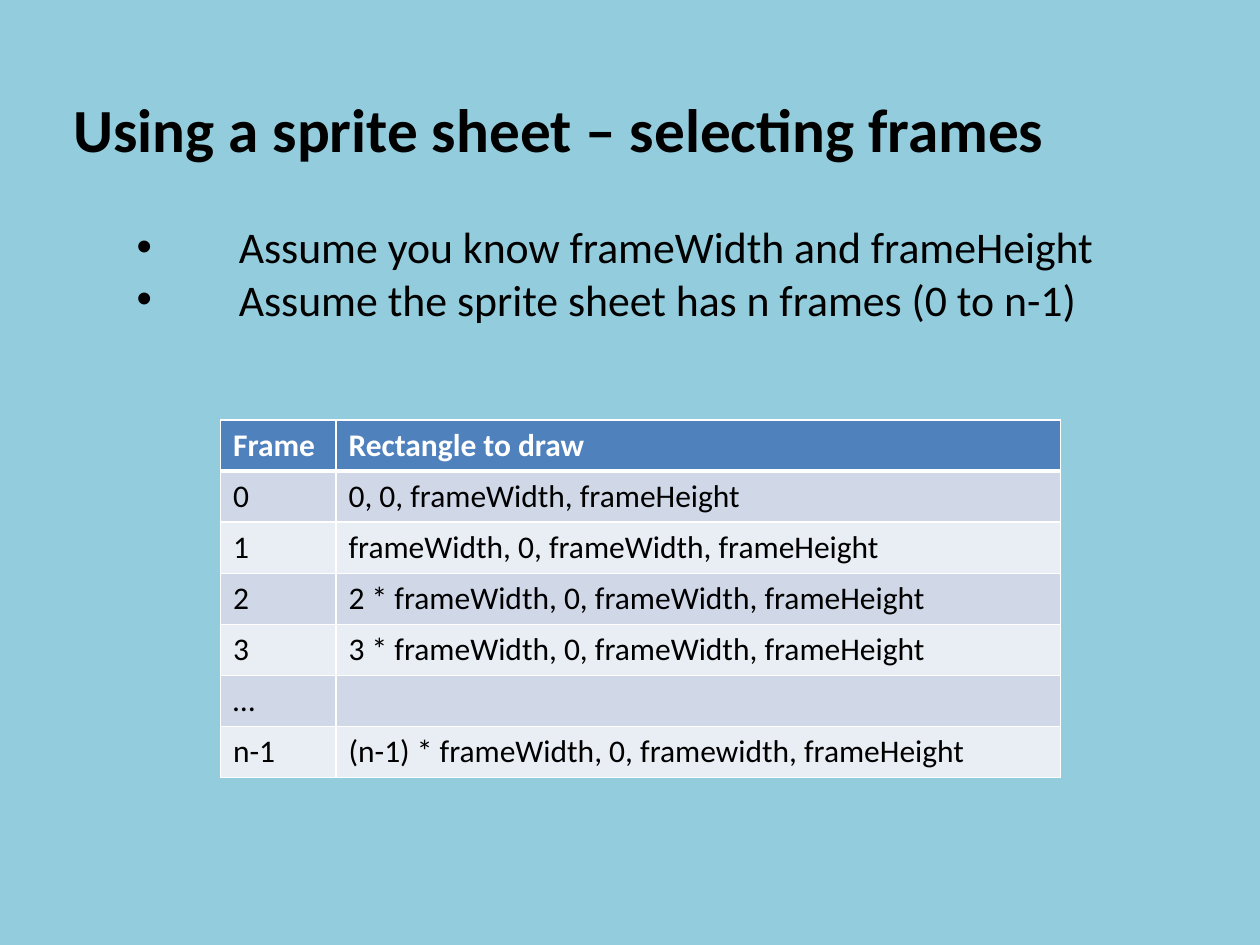
from dataclasses import dataclass

import pptx
import pptx.dml.color
import pptx.enum.text
import pptx.oxml
import pptx.oxml.ns
import pptx.util
from pptx.util import Pt

FONT = "Calibri"
COLORS = {
    "background": "93CDDD",
    "text": "000000",
    "header": "4F81BD",
    "header_text": "FFFFFF",
    "odd_row": "D0D8E8",
    "even_row": "E9EDF4",
    "border": "FFFFFF",
}
BULLETS = [
    "Assume you know frameWidth and frameHeight",
    "Assume the sprite sheet has n frames (0 to n-1)",
]
COLUMN_WIDTHS = [66, 414]
ROW_HEIGHT = 29.2


@dataclass
class FrameRow:
    frame: str
    rectangle: str


FRAME_ROWS = [
    FrameRow("Frame", "Rectangle to draw"),
    FrameRow("0", "0, 0, frameWidth, frameHeight"),
    FrameRow("1", "frameWidth, 0, frameWidth, frameHeight"),
    FrameRow("2", "2 * frameWidth, 0, frameWidth, frameHeight"),
    FrameRow("3", "3 * frameWidth, 0, frameWidth, frameHeight"),
    FrameRow("…", ""),
    FrameRow("n-1", "(n-1) * frameWidth, 0, framewidth, frameHeight"),
]


def rgb(name: str) -> pptx.dml.color.RGBColor:
    return pptx.dml.color.RGBColor.from_string(COLORS[name])


def add_run(paragraph, text: str, size: float, color: str = "text", bold: bool = False) -> None:
    run = paragraph.add_run()
    run.text = text
    run.font.name = FONT
    run.font.size = Pt(size)
    run.font.bold = bold
    run.font.color.rgb = rgb(color)


def prepare_frame(frame) -> None:
    """Wrap text from the top left corner, without insets or resizing."""
    frame.word_wrap = True
    frame.auto_size = pptx.enum.text.MSO_AUTO_SIZE.NONE
    frame.vertical_anchor = pptx.enum.text.MSO_ANCHOR.TOP
    frame.margin_left = frame.margin_right = frame.margin_top = frame.margin_bottom = 0


def add_title(slide) -> None:
    title = slide.shapes.title
    title.left, title.top, title.width, title.height = Pt(42), Pt(52.4), Pt(672), Pt(43)
    prepare_frame(title.text_frame)
    paragraph = title.text_frame.paragraphs[0]
    paragraph.alignment = pptx.enum.text.PP_ALIGN.LEFT
    add_run(paragraph, "Using a sprite sheet – selecting frames", 35, bold=True)


def add_bullets(slide) -> None:
    frame = slide.shapes.add_textbox(Pt(6), Pt(125.6), Pt(708), Pt(62)).text_frame
    prepare_frame(frame)
    for index, text in enumerate(BULLETS):
        paragraph = frame.paragraphs[0] if index == 0 else frame.add_paragraph()
        properties = paragraph._p.get_or_add_pPr()
        properties.set("marL", str(Pt(130.5)))
        properties.set("indent", str(Pt(-58.5)))
        for tag, attribute, value in (("buFont", "typeface", "Arial"), ("buChar", "char", "•")):
            bullet = pptx.oxml.parse_xml(
                f'<a:{tag} {pptx.oxml.ns.nsdecls("a")} {attribute}="{value}"/>'
            )
            properties.append(bullet)
        add_run(paragraph, text, 25)


def set_borders(cell, top: float, bottom: float) -> None:
    properties = cell._tc.get_or_add_tcPr()
    widths = {"lnL": 1, "lnR": 1, "lnT": top, "lnB": bottom}
    for position, (side, width) in enumerate(widths.items()):
        line = pptx.oxml.parse_xml(
            f'<a:{side} {pptx.oxml.ns.nsdecls("a")} w="{Pt(width)}"><a:solidFill>'
            f'<a:srgbClr val="{COLORS["border"]}"/></a:solidFill></a:{side}>'
        )
        properties.insert(position, line)


def add_frame_table(slide) -> None:
    row_count = len(FRAME_ROWS)
    table = slide.shapes.add_table(
        row_count, len(COLUMN_WIDTHS), Pt(126), Pt(240),
        Pt(sum(COLUMN_WIDTHS)), Pt(ROW_HEIGHT * row_count),
    ).table
    for column, width in zip(table.columns, COLUMN_WIDTHS):
        column.width = Pt(width)
    for index, row in enumerate(FRAME_ROWS):
        table.rows[index].height = Pt(ROW_HEIGHT)
        is_header = index == 0
        fill = "header" if is_header else "odd_row" if index % 2 else "even_row"
        color = "header_text" if is_header else "text"
        for cell, text in zip(table.rows[index].cells, (row.frame, row.rectangle)):
            cell.fill.solid()
            cell.fill.fore_color.rgb = rgb(fill)
            set_borders(cell, top=3 if index == 1 else 1, bottom=3 if is_header else 1)
            if text:
                add_run(cell.text_frame.paragraphs[0], text, 18, color, is_header)


def main() -> None:
    presentation = pptx.Presentation()
    presentation.slide_width, presentation.slide_height = Pt(720), Pt(540)
    slide = presentation.slides.add_slide(presentation.slide_layouts.get_by_name("Title Only"))
    slide.background.fill.solid()
    slide.background.fill.fore_color.rgb = rgb("background")
    add_title(slide)
    add_bullets(slide)
    add_frame_table(slide)
    presentation.save("out.pptx")


if __name__ == "__main__":
    main()
